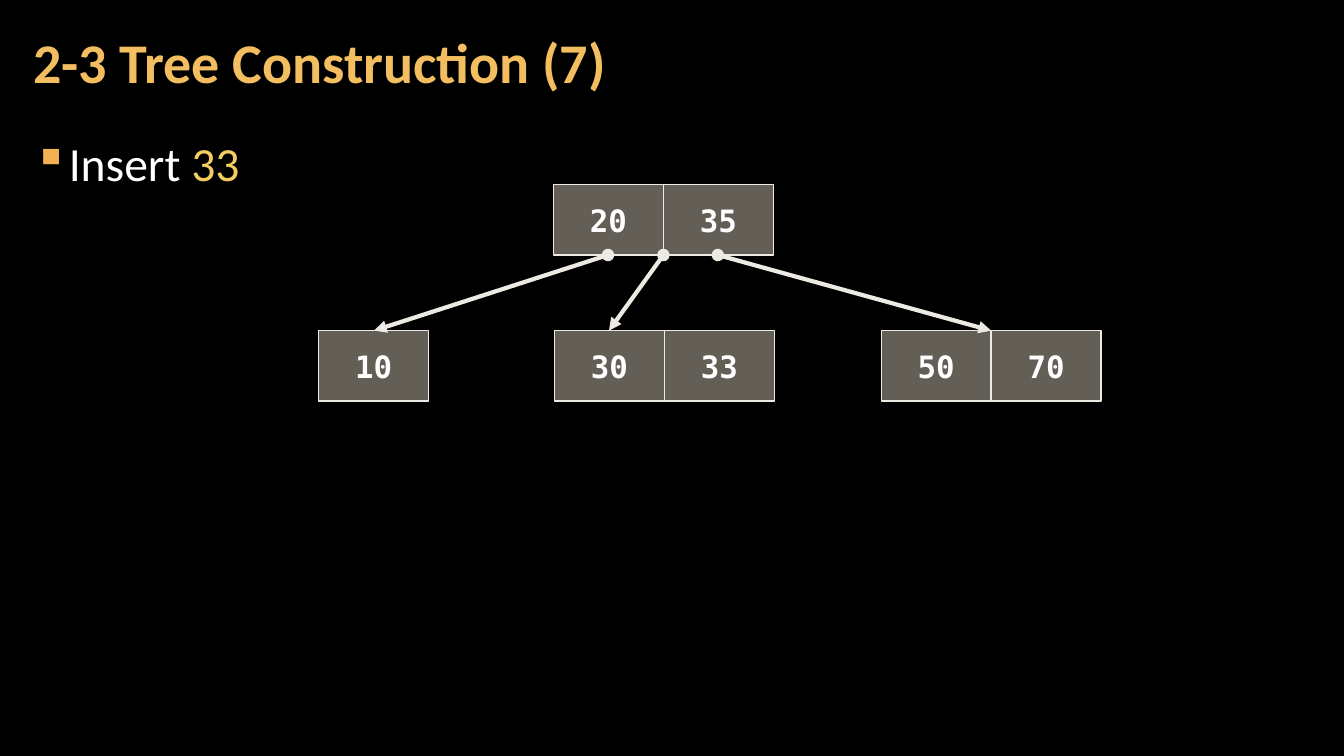
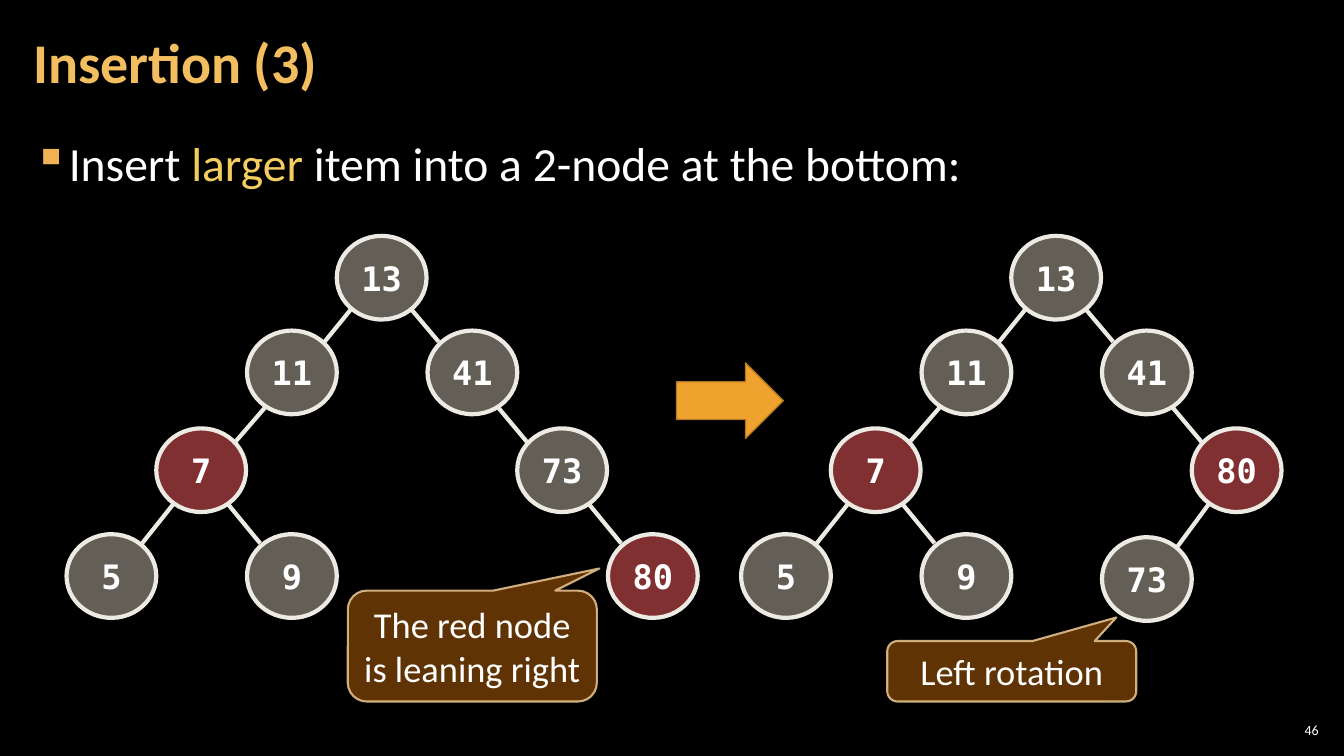
from lxml.etree import SubElement
from pptx import Presentation
from pptx.dml.color import RGBColor
from pptx.enum.shapes import MSO_CONNECTOR, MSO_SHAPE
from pptx.enum.text import MSO_ANCHOR, PP_ALIGN
from pptx.oxml.ns import qn
from pptx.util import Pt

PX = 9144  # 100 px to the inch

COLORS = {
    "background": "000000", "title": "F3BE60", "text": "FFFFFF",
    "accent": "F3CD60", "bullet": "F2B254", "node": "C7BFAC",
    "red": "FF6161", "line": "ECEAE3", "arrow": "F0A22E",
    "arrow_line": "B27822", "callout": "663606", "callout_line": "F8D49E",
}

# Each text format: font, paragraph, text frame
MARGINS = {"margin_left": 12 * PX, "margin_right": 12 * PX,
           "margin_top": 4 * PX, "margin_bottom": 4 * PX}
CENTER = {"alignment": PP_ALIGN.CENTER}
MIDDLE = {"vertical_anchor": MSO_ANCHOR.MIDDLE, "word_wrap": True}
FORMATS = {
    "title": ({"name": "Calibri", "size": Pt(40), "bold": True},
              {"line_spacing": 0.9}, {**MIDDLE, **MARGINS}),
    "body": ({"name": "Calibri", "size": Pt(34)},
             {"line_spacing": 1.05, "space_before": Pt(6), "space_after": Pt(6)},
             {"word_wrap": True, **MARGINS}),
    "number": ({"name": "Calibri", "size": Pt(10)},
               {"alignment": PP_ALIGN.RIGHT},
               {**MIDDLE, **dict.fromkeys(MARGINS, 4 * PX)}),
    "key": ({"name": "DejaVu Sans Mono", "size": Pt(22), "bold": True},
            CENTER, MIDDLE),
    "node": ({"name": "DejaVu Sans Mono", "size": Pt(24), "bold": True},
             CENTER, {**MIDDLE, "word_wrap": False}),
    "callout": ({"name": "Calibri", "size": Pt(26)}, CENTER, MIDDLE),
}


def write(shape, style, *runs):
    """Write (text, colour) runs in one of the FORMATS; return the paragraph."""
    font_values, paragraph_values, frame_values = FORMATS[style]
    frame = shape.text_frame
    paragraph = frame.paragraphs[0]
    targets = [(frame, frame_values), (paragraph, paragraph_values)]
    for text, color in runs:
        run = paragraph.add_run()
        run.text = text
        run.font.color.rgb = RGBColor.from_string(COLORS[color])
        targets.append((run.font, font_values))
    for target, values in targets:
        for name, value in values.items():
            setattr(target, name, value)
    return paragraph


def draw(slide, kind, box, fill, line, width, fill_alpha=100, line_alpha=100):
    """Add a preset shape with flat fill and outline; alphas are percentages."""
    shape = slide.shapes.add_shape(kind, *[v * PX for v in box])
    shape.shadow.inherit = False
    shape.fill.solid()
    shape.fill.fore_color.rgb = RGBColor.from_string(COLORS[fill])
    shape.line.color.rgb = RGBColor.from_string(COLORS[line])
    shape.line.width = Pt(width)
    properties = shape._element.spPr
    for parent, alpha in ((properties, fill_alpha),
                          (properties.find(qn("a:ln")), line_alpha)):
        if alpha < 100:
            color = parent.find(qn("a:solidFill"))[0]
            SubElement(color, qn("a:alpha")).set("val", str(alpha * 1000))
    return shape


prs = Presentation()
prs.slide_width, prs.slide_height = 1333 * PX, 750 * PX
backdrop = prs.slide_master.background.fill
backdrop.solid()
backdrop.fore_color.rgb = RGBColor.from_string(COLORS["background"])

# Titles and bullet lines
HEADINGS = [
    ("2-3 Tree Construction (7)", [("Insert ", "text"), ("33", "accent")]),
    ("Insertion (3)", [("Insert ", "text"), ("larger ", "accent"),
                       ("item into a 2-node at the bottom:", "text")]),
]
for title, statement in HEADINGS:
    slide = prs.slides.add_slide(prs.slide_layouts[6])
    body = slide.shapes.add_textbox(21 * PX, 126 * PX, 1291 * PX, 609 * PX)
    bullet = write(body, "body", *statement)._p.get_or_add_pPr()
    bullet.set("marL", str(33 * PX))
    bullet.set("indent", str(-33 * PX))
    bullet_color = SubElement(bullet, qn("a:buClr"))
    SubElement(bullet_color, qn("a:srgbClr")).set("val", COLORS["bullet"])
    SubElement(bullet, qn("a:buChar")).set("char", "▪")
    heading = slide.shapes.add_textbox(21 * PX, 4 * PX, 1047 * PX, 121 * PX)
    write(heading, "title", (title, "title"))
construction, insertion = prs.slides

links = []  # slide, start x and y, end x and y, arrowheads or not

# 2-3 tree: left, top and keys of each node
KEY_W, KEY_H = 109, 70
ROOT_LEFT, ROOT_TOP, LEAF_TOP = 549, 183, 328
for left, top, keys in [(ROOT_LEFT, ROOT_TOP, ["20", "35"]),
                        (316, LEAF_TOP, ["10"]),
                        (550, LEAF_TOP, ["30", "33"]),
                        (874, LEAF_TOP, ["50", "70"])]:
    for i, key in enumerate(keys):
        cell = draw(construction, MSO_SHAPE.RECTANGLE,
                    (left + i * KEY_W, top, KEY_W, KEY_H), "node", "line", 1, 50)
        write(cell, "key", (key, "text"))
for i, child_x in enumerate([371, 604, 983]):
    links.append((construction, ROOT_LEFT + (i + 1) * KEY_W // 2,
                  ROOT_TOP + KEY_H, child_x, LEAF_TOP, True))

# Red-black trees: value, parent, column, top, colour
NODE_W, NODE_H = 89, 83
SHARED_NODES = [
    ("13", None, 3, 234, "node"), ("11", "13", 2, 328, "node"),
    ("41", "13", 4, 328, "node"), ("7", "11", 1, 425, "red"),
    ("5", "7", 0, 530, "node"), ("9", "7", 2, 530, "node"),
]
TREES = [
    (66, [("73", "41", 5, 425, "node"), ("80", "73", 6, 530, "red")]),
    (735, [("80", "41", 5, 425, "red"), ("73", "80", 4, 533, "node")]),
]
# Parent's top: offsets from the parent's and the child's centre
EDGE_ENDS = {234: (30, 32, 33, 30), 328: (25, 34, 33, 26), 425: (27, 34, 31, 32)}
for tree_left, rotated_nodes in TREES:
    centers = {}
    for value, parent, column, top, color in SHARED_NODES + rotated_nodes:
        left = tree_left + column * 179 // 2
        node = draw(insertion, MSO_SHAPE.OVAL, (left, top, NODE_W, NODE_H),
                    color, "line", 3, 50)
        write(node, "node", (value, "text"))
        x, y = centers[value] = left + NODE_W // 2, top + NODE_H // 2
        if parent:
            parent_x, parent_y = centers[parent]
            side = 1 if x > parent_x else -1
            out_x, out_y, in_x, in_y = EDGE_ENDS[parent_y - NODE_H // 2]
            links.append((insertion, parent_x + side * out_x, parent_y + out_y,
                          x - side * in_x, y - in_y, False))

# Tree edges
for slide, x1, y1, x2, y2, arrow in links:
    edge = slide.shapes.add_connector(
        MSO_CONNECTOR.STRAIGHT, x1 * PX, y1 * PX, x2 * PX, y2 * PX)
    edge.line.color.rgb = RGBColor.from_string(COLORS["line"])
    edge.line.width = Pt(3)
    properties = edge._element.spPr
    SubElement(properties, qn("a:effectLst"))
    if arrow:
        for end, head in (("a:headEnd", "oval"), ("a:tailEnd", "triangle")):
            SubElement(properties.find(qn("a:ln")), qn(end)).set("type", head)

# Step arrow, callouts and slide number
draw(insertion, MSO_SHAPE.RIGHT_ARROW, (671, 360, 106, 75),
     "arrow", "arrow_line", 1)
for remark, box, pointer in [
        ("The red node is leaning right", (345, 586, 247, 110), (0.51, -0.7)),
        ("Left rotation", (880, 636, 247, 60), (0.42, -0.89))]:
    callout = draw(insertion, MSO_SHAPE.ROUNDED_RECTANGULAR_CALLOUT, box,
                   "callout", "callout_line", 1.5, 95, 80)
    for i, value in enumerate([*pointer, 0.17]):
        callout.adjustments[i] = value
    write(callout, "callout", (remark, "text"))
number = insertion.shapes.add_textbox(1265 * PX, 714 * PX, 47 * PX, 21 * PX)
write(number, "number", ("46", "text"))

prs.save("out.pptx")
